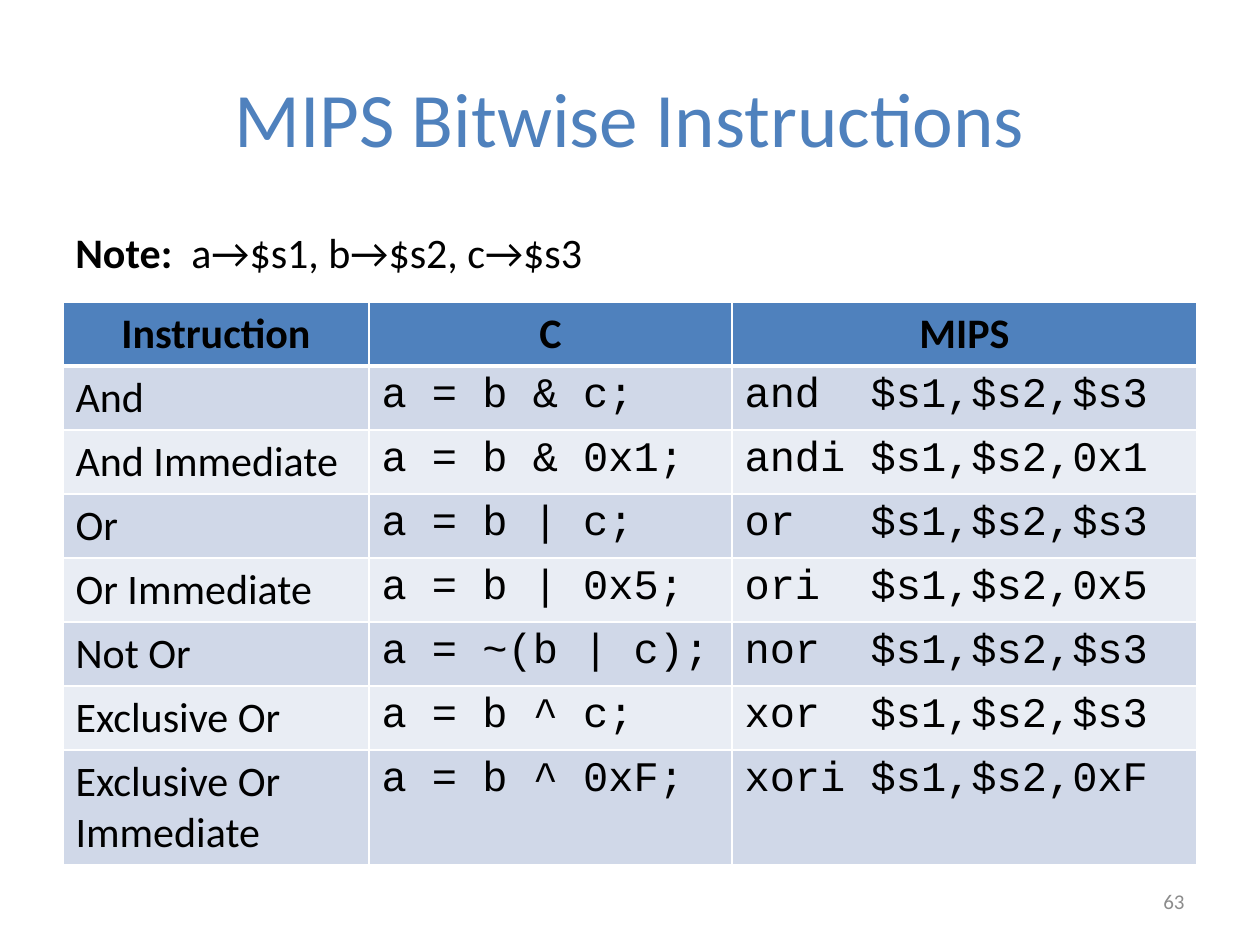
"""Build the slide that lists the MIPS bitwise instructions beside their C forms."""
from dataclasses import dataclass

from lxml import etree
from pptx import Presentation
from pptx.dml.color import RGBColor
from pptx.enum.text import MSO_ANCHOR, PP_ALIGN
from pptx.oxml.ns import qn
from pptx.util import Emu, Pt

LEFT, CENTER, RIGHT = PP_ALIGN.LEFT, PP_ALIGN.CENTER, PP_ALIGN.RIGHT
TOP, MIDDLE = MSO_ANCHOR.TOP, MSO_ANCHOR.MIDDLE
TITLE_ONLY = 5
EMU_PER_PX = 914400 / 126

TITLE = "MIPS Bitwise Instructions"
NOTE = ("Note:", "  a→$s1, b→$s2, c→$s3")
PAGE_NUMBER = "63"
HEADERS = ("Instruction", "C", "MIPS")
INSTRUCTIONS = [
    ("And", "a = b & c;", "and  $s1,$s2,$s3"),
    ("And Immediate", "a = b & 0x1;", "andi $s1,$s2,0x1"),
    ("Or", "a = b | c;", "or   $s1,$s2,$s3"),
    ("Or Immediate", "a = b | 0x5;", "ori  $s1,$s2,0x5"),
    ("Not Or", "a = ~(b | c);", "nor  $s1,$s2,$s3"),
    ("Exclusive Or", "a = b ^ c;", "xor  $s1,$s2,$s3"),
    ("Exclusive Or Immediate", "a = b ^ 0xF;", "xori $s1,$s2,0xF"),
]

PAGE_SIZE = (1260, 945)
TITLE_AREA = (63, 38, 1134, 157)
NOTE_AREA = (63, 220, 1134, 126)
NUMBER_AREA = (903, 876, 294, 50)
TABLE_ORIGIN = (63, 302)
COLUMN_WIDTHS = (306, 363, 465)
ROW_HEIGHT, LAST_ROW_HEIGHT = 64, 115


@dataclass(frozen=True)
class Theme:
    accent: str = "4F81BD"
    text: str = "000000"
    muted: str = "8C8C8C"
    bands: tuple = ("D0D8E8", "E9EDF4")
    border: str = "FFFFFF"
    body_font: str = "Calibri"
    code_font: str = "Courier New"
    title_size: int = 44
    body_size: int = 24
    number_size: int = 12
    thin: int = 1
    thick: int = 3


THEME = Theme()


def px(length):
    return Emu(round(length * EMU_PER_PX))


def style(para, size, color, align=LEFT, font=THEME.body_font, bold=False):
    para.alignment = align
    para.font.name = font
    para.font.size = Pt(size)
    para.font.bold = bold
    para.font.color.rgb = RGBColor.from_string(color)


def add_text(page, area, spans, anchor):
    box = page.shapes.add_textbox(*map(px, area))
    box.text_frame.word_wrap = True
    box.text_frame.vertical_anchor = anchor
    para = box.text_frame.paragraphs[0]
    for text in spans:
        para.add_run().text = text
    return para


def add_borders(cell, widths):
    properties = cell._tc.get_or_add_tcPr()
    for side, width in zip("LRTB", widths):
        line = etree.SubElement(properties, qn(f"a:ln{side}"), w=str(Pt(width)))
        fill = etree.SubElement(line, qn("a:solidFill"))
        etree.SubElement(fill, qn("a:srgbClr"), val=THEME.border)


def format_cell(cell, text, row, column):
    header = row == 0
    top = THEME.thick if row == 1 else THEME.thin
    bottom = THEME.thick if header else THEME.thin
    add_borders(cell, (THEME.thin, THEME.thin, top, bottom))
    cell.fill.solid()
    color = THEME.accent if header else THEME.bands[(row - 1) % 2]
    cell.fill.fore_color.rgb = RGBColor.from_string(color)
    cell.text = text
    font = THEME.body_font if header or column == 0 else THEME.code_font
    style(cell.text_frame.paragraphs[0], THEME.body_size, THEME.text,
          CENTER if header else LEFT, font, header)


def add_instruction_table(page):
    rows = [HEADERS, *INSTRUCTIONS]
    heights = [ROW_HEIGHT] * (len(rows) - 1) + [LAST_ROW_HEIGHT]
    area = (*TABLE_ORIGIN, sum(COLUMN_WIDTHS), sum(heights))
    table = page.shapes.add_table(len(rows), len(HEADERS), *map(px, area)).table
    for column, width in zip(table.columns, COLUMN_WIDTHS):
        column.width = px(width)
    for row, (texts, height) in enumerate(zip(rows, heights)):
        table.rows[row].height = px(height)
        for column, text in enumerate(texts):
            format_cell(table.cell(row, column), text, row, column)


def main():
    deck = Presentation()
    deck.slide_width, deck.slide_height = map(px, PAGE_SIZE)
    page = deck.slides.add_slide(deck.slide_layouts[TITLE_ONLY])

    title = page.shapes.title
    title.left, title.top, title.width, title.height = map(px, TITLE_AREA)
    title.text_frame.text = TITLE
    title.text_frame.vertical_anchor = MIDDLE
    style(title.text_frame.paragraphs[0], THEME.title_size, THEME.accent, CENTER)

    note = add_text(page, NOTE_AREA, NOTE, TOP)
    style(note, THEME.body_size, THEME.text)
    note.space_before = Pt(5)
    note.runs[0].font.bold = True

    number = add_text(page, NUMBER_AREA, [PAGE_NUMBER], MIDDLE)
    style(number, THEME.number_size, THEME.muted, RIGHT)

    add_instruction_table(page)
    deck.save("out.pptx")


if __name__ == "__main__":
    main()
